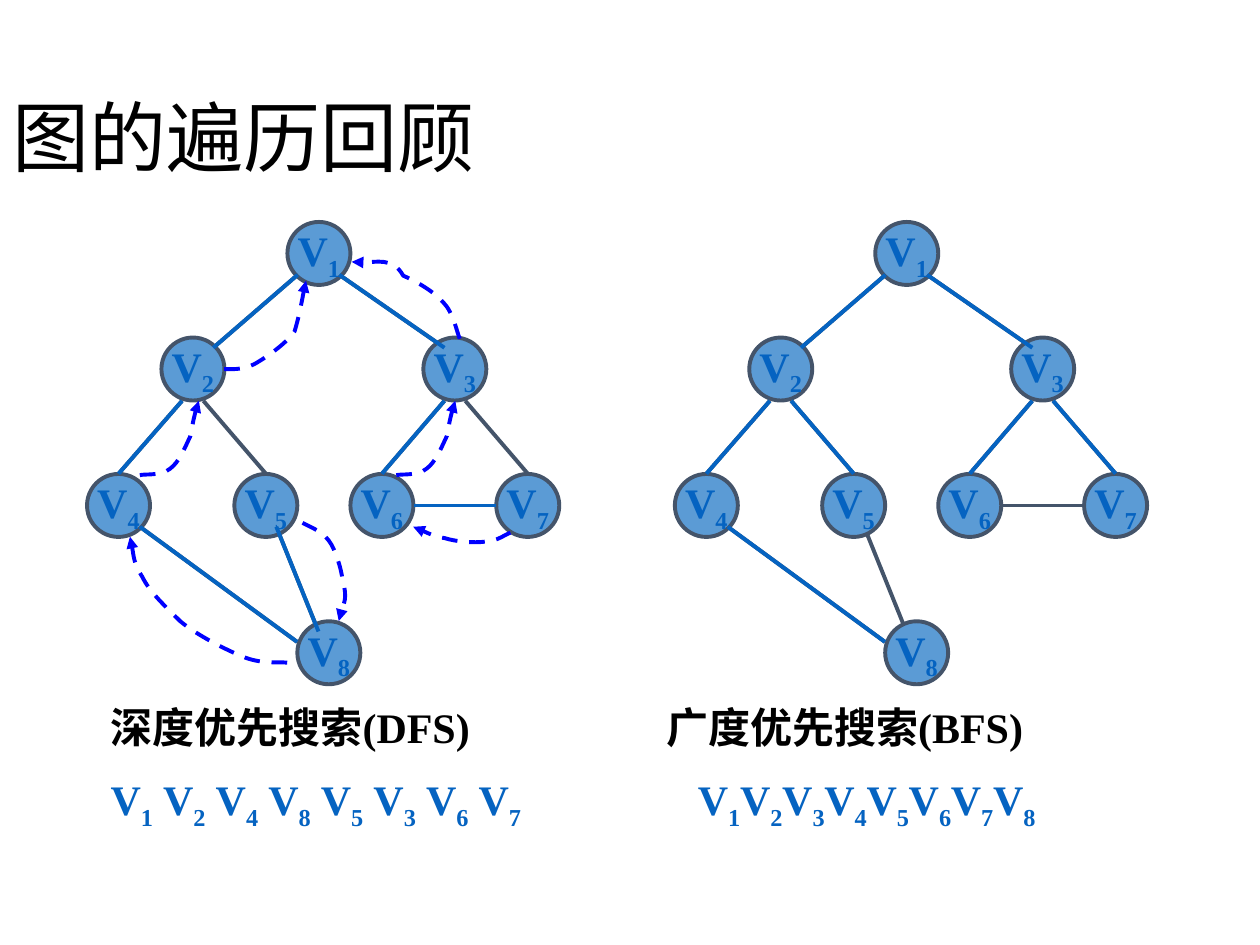
from lxml import etree
from pptx import Presentation
from pptx import util as u
from pptx.dml.color import RGBColor
from pptx.enum import dml, shapes, text
from pptx.oxml.ns import qn

# Content, lengths in cm
TITLE = "图的遍历回顾"
CENTRES = {1: (6.43, 5.11), 2: (3.89, 7.44), 3: (9.17, 7.44), 4: (2.39, 10.19),
           5: (5.36, 10.19), 6: (7.7, 10.19), 7: (10.64, 10.19), 8: (6.63, 13.16)}
# Edge ends, as offsets from the two vertex centres
EDGES = {
    (1, 2): ((-0.43, 0.43), (0.41, -0.43)),
    (1, 3): ((0.41, 0.43), (-0.21, -0.43)),
    (2, 4): ((-0.22, 0.64), (0, -0.64)),
    (2, 5): ((0.21, 0.64), (0, -0.64)),
    (3, 6): ((-0.21, 0.64), (0, -0.64)),
    (3, 7): ((0.21, 0.64), (0, -0.64)),
    (5, 8): ((0.21, 0.43), (-0.21, -0.43)),
    (6, 7): ((0.64, 0), (-0.64, 0)),
    (4, 8): ((0.43, 0.43), (-0.64, -0.22)),
}
# Each visit is a vertex and the edge that reached it
SEARCHES = [
    dict(caption="深度优先搜索(DFS)", caption_left=1.98, shift=0, order_left=1.98, step=1.06,
         visits=[(1, None), (2, (1, 2)), (4, (2, 4)), (8, (4, 8)),
                 (5, (5, 8)), (3, (1, 3)), (6, (3, 6)), (7, (6, 7))]),
    dict(caption="广度优先搜索(BFS)", caption_left=13.18, shift=11.85, order_left=13.82, step=0.85,
         visits=[(1, None), (2, (1, 2)), (3, (1, 3)), (4, (2, 4)),
                 (5, (2, 5)), (6, (3, 6)), (7, (3, 7)), (8, (4, 8))]),
]
# Dashed arrows: a start, then three Bezier points per curve
RISING = [(2.82, 9.58), (2.92, 9.55), (3.25, 9.6), (3.43, 9.45), (3.61, 9.32),
          (3.73, 9.02), (3.84, 8.79), (3.91, 8.41), (3.96, 8.2), (4.01, 8.08)]
ARROWS = [
    [(6.1, 10.54), (6.17, 10.59), (6.48, 10.69), (6.63, 10.9), (6.76, 11.07),
     (6.88, 11.46), (6.91, 11.71), (7.01, 12.07), (6.86, 12.34), (6.83, 12.52)],
    [(5.79, 13.36), (5.64, 13.34), (5.31, 13.39), (4.95, 13.26), (4.57, 13.11),
     (3.96, 12.8), (3.63, 12.52), (3.33, 12.22), (3.02, 11.94), (2.87, 11.63),
     (2.69, 11.35), (2.67, 11), (2.62, 10.82)],
    RISING,
    [(4.52, 7.44), (4.62, 7.44), (4.88, 7.47), (5.13, 7.34), (5.36, 7.21),
     (5.77, 6.93), (5.94, 6.68), (6.05, 6.3), (6.12, 5.87), (6.17, 5.66)],
    [(10.29, 10.74), (10.19, 10.77), (10.01, 10.92), (9.78, 10.92), (9.55, 10.95),
     (9.19, 10.92), (8.97, 10.85), (8.76, 10.82), (8.46, 10.67), (8.33, 10.62)],
    [(x + 5.17, y) for x, y in RISING],
    [(9.27, 6.83), (9.22, 6.73), (9.14, 6.3), (8.94, 6.1), (8.76, 5.89),
     (8.43, 5.69), (8.13, 5.56), (7.92, 5.18), (7.32, 5.33), (7.09, 5.28)],
]
DIAMETER = 1.27
BLACK = RGBColor(0x00, 0x00, 0x00)
SLATE = RGBColor(0x44, 0x54, 0x6A)
NODE_BLUE = RGBColor(0x5B, 0x9B, 0xD5)
VISITED = RGBColor(0x05, 0x63, 0xC1)
ARROW_BLUE = RGBColor(0x00, 0x00, 0xFF)

presentation = Presentation()
presentation.slide_width, presentation.slide_height = u.Cm(25.4), u.Cm(19.05)
slide = presentation.slides.add_slide(presentation.slide_layouts[6])


def add_run(paragraph, words, color, size=24, font="Times New Roman", bold=True):
    run = paragraph.add_run()
    run.text = words
    run.font.name, run.font.size, run.font.bold = font, u.Pt(size), bold
    run.font.color.rgb = color
    return run


def add_vertex_name(paragraph, number):
    add_run(paragraph, "V", VISITED)
    subscript = add_run(paragraph, str(number), VISITED)
    subscript.font._element.set("baseline", "-25000")


def add_box(left, top, width, height):
    frame = slide.shapes.add_textbox(*map(u.Cm, (left, top, width, height))).text_frame
    frame.word_wrap = True
    return frame


def set_line(shape, color):
    shape.line.color.rgb = color
    shape.line.width = u.Pt(2.25)


def add_edge(edge, shift, color):
    ends = [(CENTRES[vertex][0] + dx + shift, CENTRES[vertex][1] + dy)
            for vertex, (dx, dy) in zip(edge, EDGES[edge])]
    connector = slide.shapes.add_connector(
        shapes.MSO_CONNECTOR.STRAIGHT, *(u.Cm(value) for end in ends for value in end))
    set_line(connector, color)
    etree.SubElement(connector._element.spPr, qn("a:effectLst"))


def add_vertex(number, shift):
    x, y = CENTRES[number]
    shape = slide.shapes.add_shape(
        shapes.MSO_SHAPE.OVAL, u.Cm(x + shift - DIAMETER / 2), u.Cm(y - DIAMETER / 2),
        u.Cm(DIAMETER), u.Cm(DIAMETER))
    shape.shadow.inherit = False
    shape.fill.solid()
    shape.fill.fore_color.rgb = NODE_BLUE
    set_line(shape, SLATE)
    frame = shape.text_frame
    frame.word_wrap = False
    frame.vertical_anchor = text.MSO_ANCHOR.MIDDLE
    frame.paragraphs[0].alignment = text.PP_ALIGN.CENTER
    add_vertex_name(frame.paragraphs[0], number)


def add_arrow(points):
    start, *rest = [(u.Cm(x), u.Cm(y)) for x, y in points]
    builder = slide.shapes.build_freeform(*start)
    builder.add_line_segments(rest, close=False)
    shape = builder.convert_to_shape()
    shape.shadow.inherit = False
    shape.fill.background()
    set_line(shape, ARROW_BLUE)
    shape.line.dash_style = dml.MSO_LINE.DASH
    etree.SubElement(shape.line._ln, qn("a:tailEnd"), type="triangle")
    # Gather every three line points into one curve
    segments = list(shape._element.iter(qn("a:lnTo")))
    outline = segments[0].getparent()
    for first in range(0, len(segments), 3):
        curve = etree.SubElement(outline, qn("a:cubicBezTo"))
        for segment in segments[first:first + 3]:
            curve.append(segment[0])
            outline.remove(segment)


# Title
title = add_box(0, 1.02, 21.89, 3.68)
title.vertical_anchor = text.MSO_ANCHOR.MIDDLE
title.paragraphs[0].line_spacing = 0.9
add_run(title.paragraphs[0], TITLE, BLACK, 44, "Calibri", False)

# Graphs, captions and visiting orders
for search in SEARCHES:
    for edge in EDGES:
        add_edge(edge, search["shift"], SLATE)
    caption = add_box(search["caption_left"], 14.02, 8.26, 1.27)
    caption.auto_size = text.MSO_AUTO_SIZE.SHAPE_TO_FIT_TEXT
    add_run(caption.paragraphs[0], search["caption"], BLACK)
    for position, (vertex, edge) in enumerate(search["visits"]):
        add_vertex(vertex, search["shift"])
        if edge:
            add_edge(edge, search["shift"], VISITED)
        label = add_box(search["order_left"] + position * search["step"], 15.47, 1.47, 1.27)
        label.auto_size = text.MSO_AUTO_SIZE.SHAPE_TO_FIT_TEXT
        add_vertex_name(label.paragraphs[0], vertex)

# Backtracking arrows of the depth-first search
for points in ARROWS:
    add_arrow(points)

presentation.save("out.pptx")
